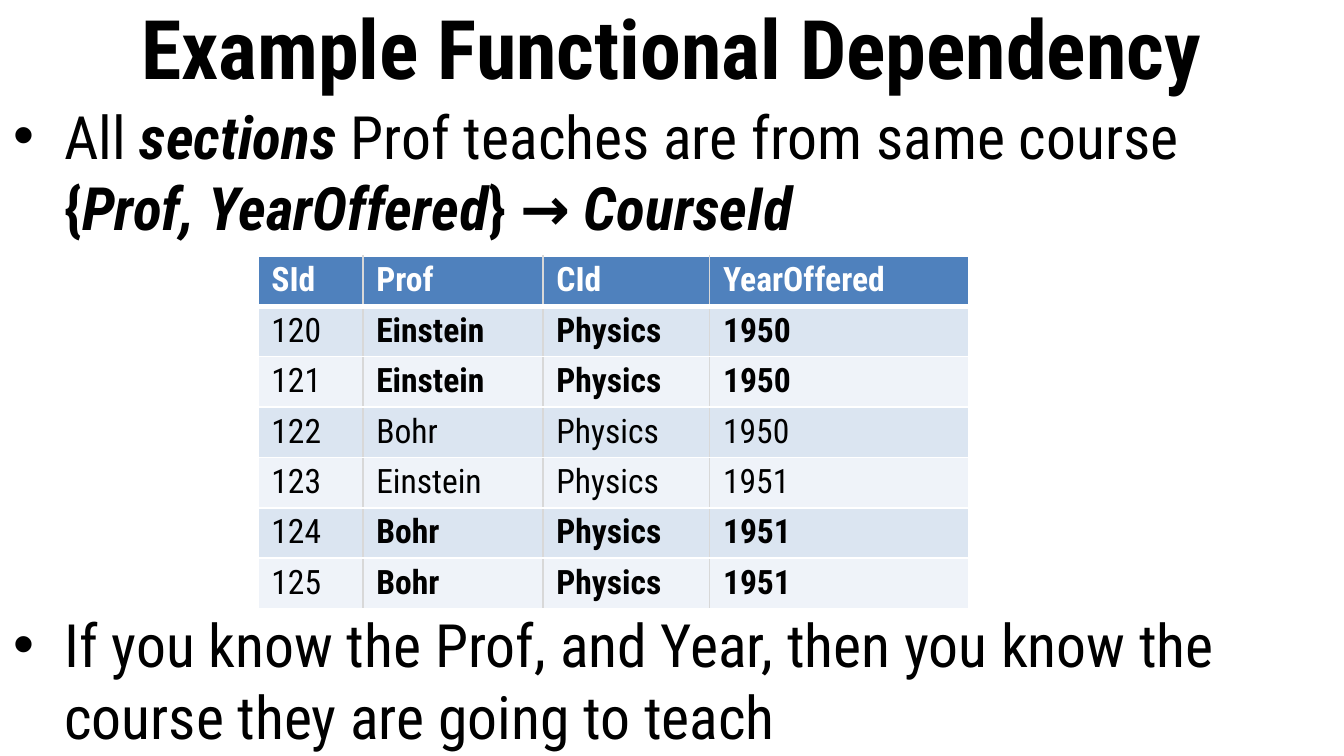
from lxml import etree
from pptx import Presentation
from pptx.dml.color import RGBColor
from pptx.enum.text import MSO_ANCHOR, PP_ALIGN
from pptx.oxml.ns import qn
from pptx.util import Pt

MIDDLE = MSO_ANCHOR.MIDDLE
TOP = MSO_ANCHOR.TOP
CENTER = PP_ALIGN.CENTER
LEFT = PP_ALIGN.LEFT

FONT = "Roboto Condensed"
BLACK, WHITE, GRID = "000000", "FFFFFF", "D8D8D8"
HEADER_FILL = "4F81BD"
BAND_FILLS = ["DBE5F1", "EFF3F9"]

HEADINGS = ["SId", "Prof", "CId", "YearOffered"]
SECTIONS = [
    ("120", "Einstein", "Physics", "1950"),
    ("121", "Einstein", "Physics", "1950"),
    ("122", "Bohr", "Physics", "1950"),
    ("123", "Einstein", "Physics", "1951"),
    ("124", "Bohr", "Physics", "1951"),
    ("125", "Bohr", "Physics", "1951"),
]
BOLD_SECTIONS = {"120", "121", "124", "125"}

PLAIN = {"bold": False, "italic": False}
BOLD = {"bold": True, "italic": False}
BOLD_ITALIC = {"bold": True, "italic": True}
RULE_POINT = [
    ("All ", PLAIN),
    ("sections", BOLD_ITALIC),
    (" Prof teaches are from same course", PLAIN),
    None,
    ("{", BOLD),
    ("Prof, YearOffered", BOLD_ITALIC),
    ("} →", BOLD),
    (" CourseId", BOLD_ITALIC),
]
MEANING_POINT = [
    ("If you know the Prof, and Year, then you know the course they are going to teach", PLAIN),
]


def color(value):
    return RGBColor.from_string(value)


def set_values(target, values):
    for name, value in values.items():
        setattr(target, name, value)


def add_span(para, text, size, ink=BLACK, style=PLAIN):
    span = para.add_run()
    span.text = text
    set_values(span.font, {"name": FONT, "size": Pt(size), **style})
    span.font.color.rgb = color(ink)


def add_text_frame(page, box, anchor):
    frame = page.shapes.add_textbox(*map(Pt, box)).text_frame
    set_values(frame, {
        "word_wrap": True,
        "vertical_anchor": anchor,
        "margin_left": Pt(7.2),
        "margin_right": Pt(7.2),
        "margin_top": Pt(3.6),
        "margin_bottom": Pt(3.6),
    })
    return frame


def add_title(page, box):
    para = add_text_frame(page, box, MIDDLE).paragraphs[0]
    para.alignment = CENTER
    add_span(para, "Example Functional Dependency", 44, style=BOLD)


def add_bullet(para):
    properties = para._p.get_or_add_pPr()
    properties.set("marL", str(Pt(27.36)))
    properties.set("indent", str(-Pt(27.36)))
    bullet_color = etree.SubElement(properties, qn("a:buClr"))
    etree.SubElement(bullet_color, qn("a:srgbClr"), val=BLACK)
    etree.SubElement(properties, qn("a:buFont"), typeface="Arial")
    etree.SubElement(properties, qn("a:buChar"), char="•")


def add_points(page, box, gap):
    frame = add_text_frame(page, box, TOP)
    for index, parts in enumerate([RULE_POINT, MEANING_POINT]):
        para = frame.add_paragraph() if index else frame.paragraphs[0]
        set_values(para, {"alignment": LEFT, "space_before": Pt(gap * index)})
        add_bullet(para)
        for part in parts:
            if part is None:
                para.add_line_break()
            else:
                text, style = part
                add_span(para, text, 32, style=style)


def set_border(cell, side, ink, width):
    line = etree.Element(qn(f"a:{side}"), w=str(Pt(width)))
    fill = etree.SubElement(line, qn("a:solidFill"))
    etree.SubElement(fill, qn("a:srgbClr"), val=ink)
    properties = cell._tc.get_or_add_tcPr()
    position = ["lnL", "lnR", "lnT", "lnB"].index(side)
    properties.insert(position, line)


def add_sections_table(page, box, widths):
    rows = [HEADINGS, *SECTIONS]
    table = page.shapes.add_table(len(rows), len(widths), *map(Pt, box)).table
    for column, width in zip(table.columns, widths):
        column.width = Pt(width)
    last = len(widths) - 1
    for row_index, values in enumerate(rows):
        table.rows[row_index].height = Pt(box[3] / len(rows))
        header = row_index == 0
        fill = HEADER_FILL if header else BAND_FILLS[(row_index - 1) % 2]
        for column_index, text in enumerate(values):
            cell = table.cell(row_index, column_index)
            set_values(cell, {
                "margin_left": Pt(7.2),
                "margin_right": Pt(7.2),
                "margin_top": Pt(2.7),
                "margin_bottom": Pt(2.7),
            })
            cell.fill.solid()
            cell.fill.fore_color.rgb = color(fill)
            set_border(cell, "lnL", GRID if column_index else WHITE, 1)
            set_border(cell, "lnR", GRID if column_index < last else WHITE, 1)
            set_border(cell, "lnT", WHITE, 3 if row_index == 1 else 1)
            set_border(cell, "lnB", WHITE, 3 if header else 1)
            strong = header or (column_index > 0 and values[0] in BOLD_SECTIONS)
            para = cell.text_frame.paragraphs[0]
            add_span(para, text, 18, WHITE if header else BLACK, BOLD if strong else PLAIN)


def main():
    deck = Presentation()
    set_values(deck, {"slide_width": Pt(720), "slide_height": Pt(405)})
    page = deck.slides.add_slide(deck.slide_layouts[6])
    add_title(page, (0, 0, 720, 49.7))
    add_points(page, (0, 49.7, 720, 355.3), gap=195.5)
    add_sections_table(page, (138.2, 137, 381, 185.5), [56.2, 96.5, 89.3, 139])
    deck.save("out.pptx")


if __name__ == "__main__":
    main()
